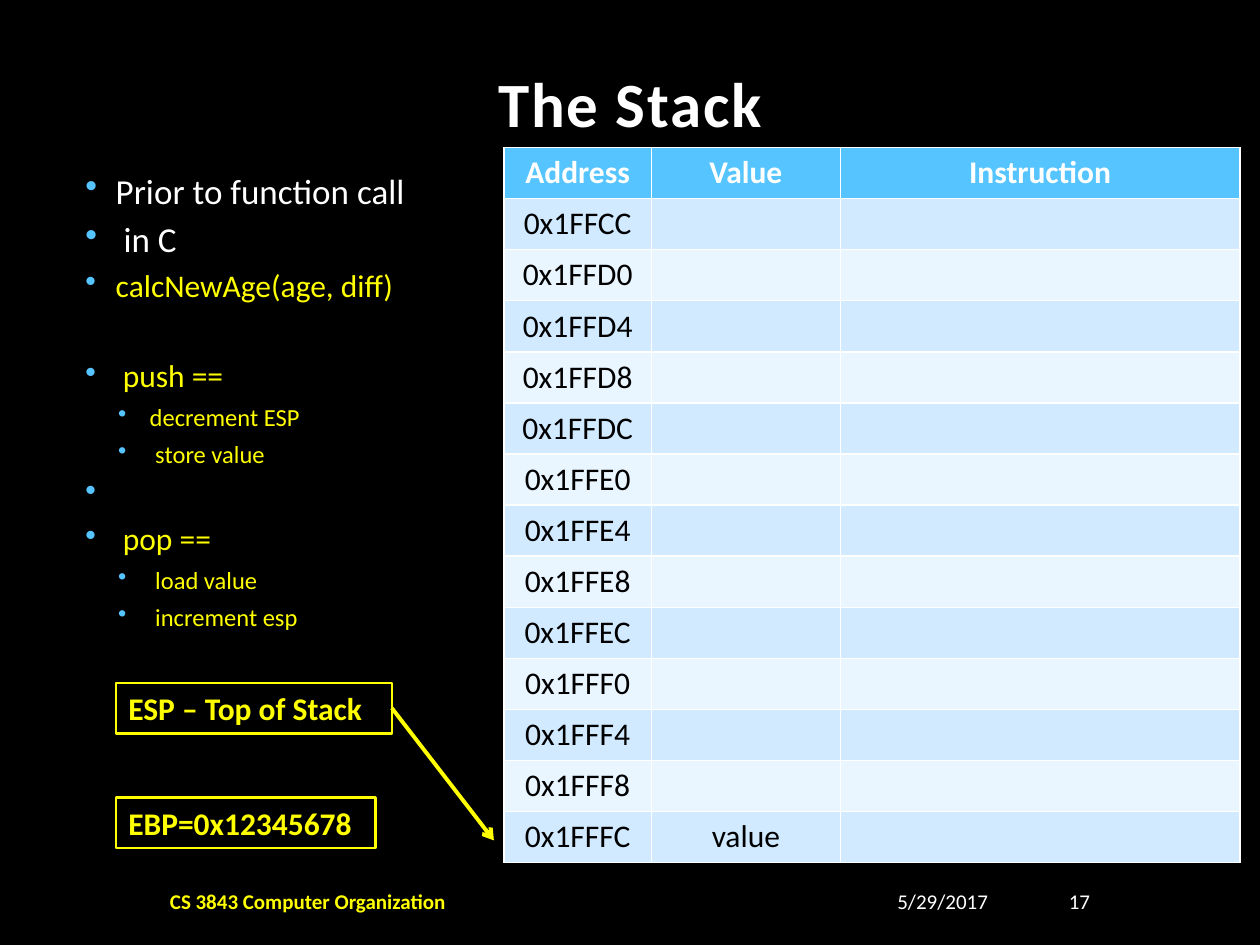
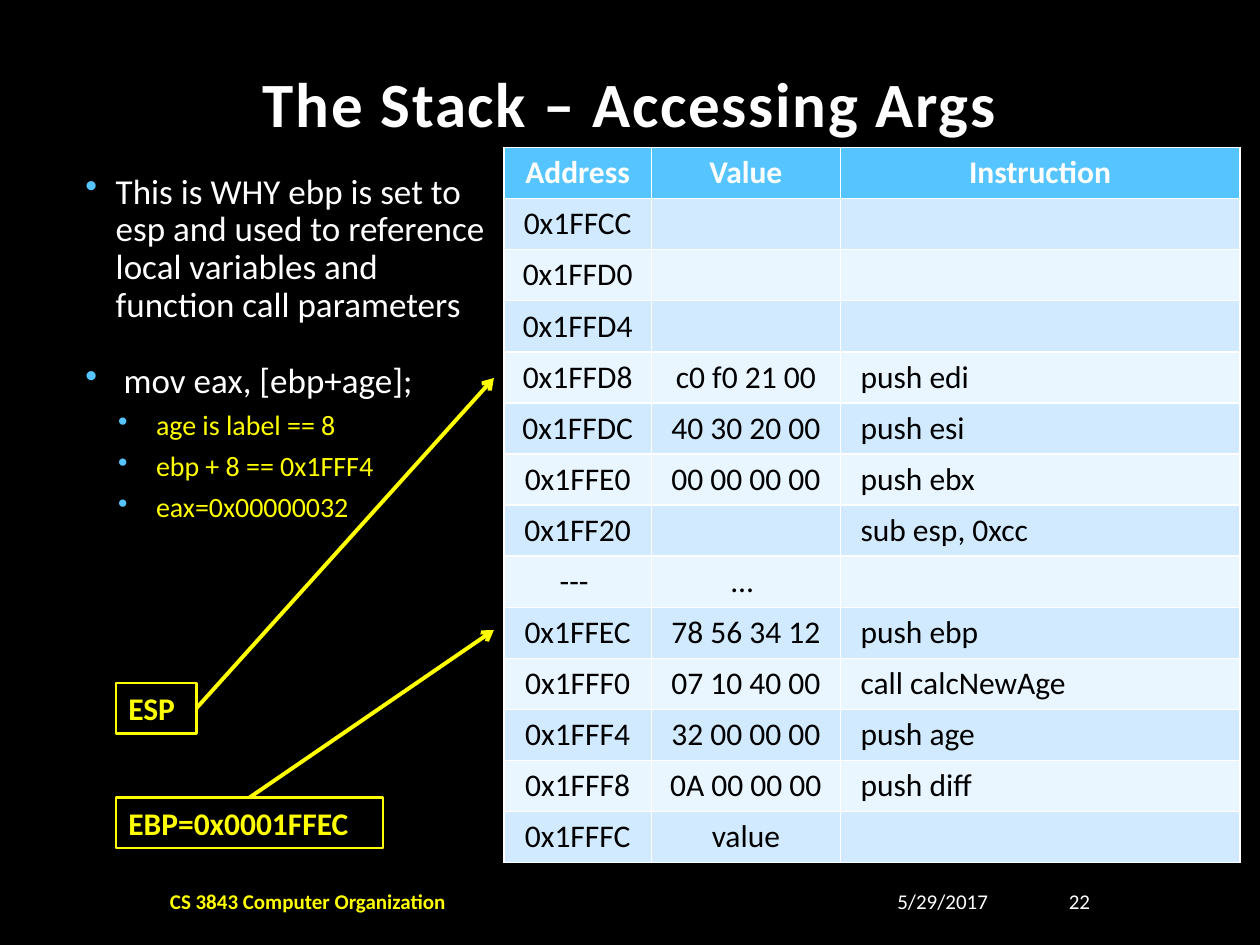
from collections import namedtuple

from lxml.etree import SubElement
from pptx import Presentation
from pptx.dml.color import RGBColor
from pptx.enum.shapes import MSO_CONNECTOR as Connector
from pptx.enum.text import MSO_ANCHOR as Anchor, MSO_AUTO_SIZE as AutoSize, PP_ALIGN as Align
from pptx.oxml.ns import qn
from pptx.util import Inches, Pt

BLACK = RGBColor(0x00, 0x00, 0x00)
WHITE = RGBColor(0xFF, 0xFF, 0xFF)
YELLOW = RGBColor(0xFF, 0xFF, 0x00)
SKY = RGBColor(0x56, 0xC5, 0xFF)
ROW_FILLS = (RGBColor(0xE9, 0xF5, 0xFF), RGBColor(0xD1, 0xEA, 0xFF))
FONT = "Calibri"
TITLE_ONLY = 5

Box = namedtuple("Box", "left top width height")
Bullet = namedtuple("Bullet", "text size color level space_before", defaults=(0, 6))

TITLE_BOX = Box(1.25, 0.42, 7.5, 0.75)
TABLE_BOX = Box(4, 1.17, 5.83, 5.68)
FOOTER_BOX = Box(1.25, 7, 7.5, 0.3)
COLUMN_WIDTHS = (1.17, 1.5, 3.17)
HEADINGS = ("Address", "Value", "Instruction")
LEVEL_INDENTS = ((0.24, 0.24), (0.51, 0.25))
REGISTER_LEFT, REGISTER_HEIGHT = 0.92, 0.4
ESP_TOP, EBP_TOP = 5.42, 6.33
POINTER_RIGHT = 3.92

EMPTY_STACK = [
    (address, "", "")
    for address in (
        "0x1FFCC", "0x1FFD0", "0x1FFD4", "0x1FFD8", "0x1FFDC", "0x1FFE0",
        "0x1FFE4", "0x1FFE8", "0x1FFEC", "0x1FFF0", "0x1FFF4", "0x1FFF8",
    )
]
STACK_BASE = ("0x1FFFC", "value", "")
CALLED_STACK = EMPTY_STACK[:3] + [
    ("0x1FFD8", "c0 f0 21 00", "push edi"),
    ("0x1FFDC", "40 30 20 00", "push esi"),
    ("0x1FFE0", "00 00 00 00", "push ebx"),
    ("0x1FF20", "", "sub esp, 0xcc"),
    ("--- ", "… ", ""),
    ("0x1FFEC", "78 56 34 12", "push ebp"),
    ("0x1FFF0", "07 10 40 00", "call calcNewAge"),
    ("0x1FFF4", "32 00 00 00", "push age"),
    ("0x1FFF8", "0A 00 00 00", "push diff"),
]

CALL_NOTES = [
    Bullet("Prior to function call", 20, WHITE),
    Bullet(" in C", 20, WHITE),
    Bullet("calcNewAge(age, diff)", 18, YELLOW),
    Bullet(" push ==", 18, YELLOW, 0, 32),
    Bullet("decrement ESP", 14, YELLOW, 1),
    Bullet(" store value", 14, YELLOW, 1),
    Bullet(" ", 18, YELLOW),
    Bullet(" pop ==", 18, YELLOW),
    Bullet(" load value", 14, YELLOW, 1),
    Bullet(" increment esp", 14, YELLOW, 1),
]
ARGUMENT_NOTES = [
    Bullet(
        "This is WHY ebp is set to esp and used to reference "
        "local variables and function call parameters", 20, WHITE),
    Bullet(" mov eax, [ebp+age];", 20, WHITE, 0, 22),
    Bullet(" age is label == 8", 16, YELLOW, 1),
    Bullet(" ebp + 8 == 0x1FFF4", 16, YELLOW, 1),
    Bullet(" eax=0x00000032", 16, YELLOW, 1),
]


def inches(box):
    """Turn a box of numbers into lengths."""
    return [Inches(length) for length in box]


def write(paragraph, text, size, color, bold=False, align=Align.LEFT):
    """Fill a paragraph with text in one style."""
    paragraph.text = text
    paragraph.alignment = align
    font = paragraph.font
    font.name, font.size, font.bold = FONT, Pt(size), bold
    font.color.rgb = color


def add_text(slide, box, text, size, color, bold=False, align=Align.LEFT):
    """Add a one-line text box, centred vertically."""
    shape = slide.shapes.add_textbox(*inches(box))
    frame = shape.text_frame
    frame.word_wrap = True
    frame.vertical_anchor = Anchor.MIDDLE
    write(frame.paragraphs[0], text, size, color, bold, align)
    return shape


def set_title(slide, box, text):
    """Place and format the title placeholder."""
    title = slide.shapes.title
    title.left, title.top, title.width, title.height = inches(box)
    frame = title.text_frame
    frame.auto_size = AutoSize.NONE
    frame.vertical_anchor = Anchor.BOTTOM
    paragraph = frame.paragraphs[0]
    write(paragraph, text, 36, WHITE, True, Align.CENTER)
    paragraph.line_spacing = 0.9
    paragraph.runs[0]._r.get_or_add_rPr().set("spc", "100")


def add_bullets(slide, box, bullets):
    """Add the two-level bullet list."""
    frame = slide.shapes.add_textbox(*inches(box)).text_frame
    frame.word_wrap = True
    for index, bullet in enumerate(bullets):
        paragraph = frame.add_paragraph() if index else frame.paragraphs[0]
        paragraph.level = bullet.level
        paragraph.line_spacing = 0.9
        paragraph.space_before = Pt(bullet.space_before)
        margin, hanging = LEVEL_INDENTS[bullet.level]
        properties = paragraph._p.get_or_add_pPr()
        properties.set("marL", str(Inches(margin)))
        properties.set("indent", str(-Inches(hanging)))
        color = SubElement(properties, qn("a:buClr"))
        SubElement(color, qn("a:srgbClr")).set("val", str(SKY))
        SubElement(properties, qn("a:buChar")).set("char", "•")
        write(paragraph, bullet.text, bullet.size, bullet.color)


def add_stack_table(slide, box, rows):
    """Add the stack table with its heading row and banded fills."""
    rows = [HEADINGS, *rows]
    table = slide.shapes.add_table(len(rows), len(HEADINGS), *inches(box)).table
    for column, width in zip(table.columns, COLUMN_WIDTHS):
        column.width = Inches(width)
    for row_index, values in enumerate(rows):
        table.rows[row_index].height = Inches(box.height / len(rows))
        heading = row_index == 0
        for column_index, value in enumerate(values):
            cell = table.cell(row_index, column_index)
            cell.fill.solid()
            cell.fill.fore_color.rgb = SKY if heading else ROW_FILLS[row_index % 2]
            instruction = column_index == 2 and not heading
            if instruction:
                cell.margin_left = Inches(0.16)
            write(cell.text_frame.paragraphs[0], value, 18, WHITE if heading else BLACK,
                  heading, Align.LEFT if instruction else Align.CENTER)


def add_register(slide, top, width, text):
    """Add an outlined register label."""
    box = Box(REGISTER_LEFT, top, width, REGISTER_HEIGHT)
    shape = add_text(slide, box, text, 18, YELLOW, True)
    shape.line.color.rgb = YELLOW
    shape.line.width = Pt(1.5)


def add_pointer(slide, start, end_top):
    """Draw an arrow from a register label to a row of the table."""
    ends = inches((*start, POINTER_RIGHT, end_top))
    connector = slide.shapes.add_connector(Connector.STRAIGHT, *ends)
    connector.line.color.rgb = YELLOW
    connector.line.width = Pt(2.25)
    SubElement(connector.line._get_or_add_ln(), qn("a:tailEnd")).set("type", "arrow")
    SubElement(connector._element.spPr, qn("a:effectLst"))


def add_footer(slide, box, number):
    """Add the course name, date and page number."""
    add_text(slide, box._replace(width=5.38), "CS 3843 Computer Organization", 12, YELLOW, True)
    for offset, width, text in ((5.5, 1.19, "5/29/2017"), (6.81, 0.69, number)):
        part = box._replace(left=box.left + offset, width=width)
        add_text(slide, part, text, 12, WHITE, align=Align.RIGHT)


def add_stack_slide(presentation, title, number, bullets, bullet_width, rows,
                    esp, ebp, esp_target, ebp_target=None):
    """Build a slide of notes, register labels and the stack table."""
    slide = presentation.slides.add_slide(presentation.slide_layouts[TITLE_ONLY])
    set_title(slide, TITLE_BOX, title)
    add_bullets(slide, Box(0.58, 1.33, bullet_width, 5.42), bullets)
    add_footer(slide, FOOTER_BOX, number)
    add_stack_table(slide, TABLE_BOX, [*rows, STACK_BASE])
    esp_text, esp_width = esp
    ebp_text, ebp_width = ebp
    add_register(slide, ESP_TOP, esp_width, esp_text)
    add_register(slide, EBP_TOP, ebp_width, ebp_text)
    add_pointer(slide, (REGISTER_LEFT + esp_width, ESP_TOP + REGISTER_HEIGHT / 2), esp_target)
    if ebp_target is not None:
        add_pointer(slide, (REGISTER_LEFT + ebp_width / 2, EBP_TOP), ebp_target)


def main():
    """Build and save the presentation."""
    presentation = Presentation()
    presentation.slide_width, presentation.slide_height = Inches(10), Inches(7.5)
    background = presentation.slide_master.background.fill
    background.solid()
    background.fore_color.rgb = BLACK
    add_stack_slide(presentation, "The Stack", "17", CALL_NOTES, 3.58, EMPTY_STACK,
                    ("ESP – Top of Stack", 2.19), ("EBP=0x12345678", 2.06), 6.67)
    add_stack_slide(presentation, "The Stack – Accessing Args", "22", ARGUMENT_NOTES, 3.42,
                    CALLED_STACK, ("ESP", 0.64), ("EBP=0x0001FFEC", 2.12), 3, 5)
    presentation.save("out.pptx")


if __name__ == "__main__":
    main()
